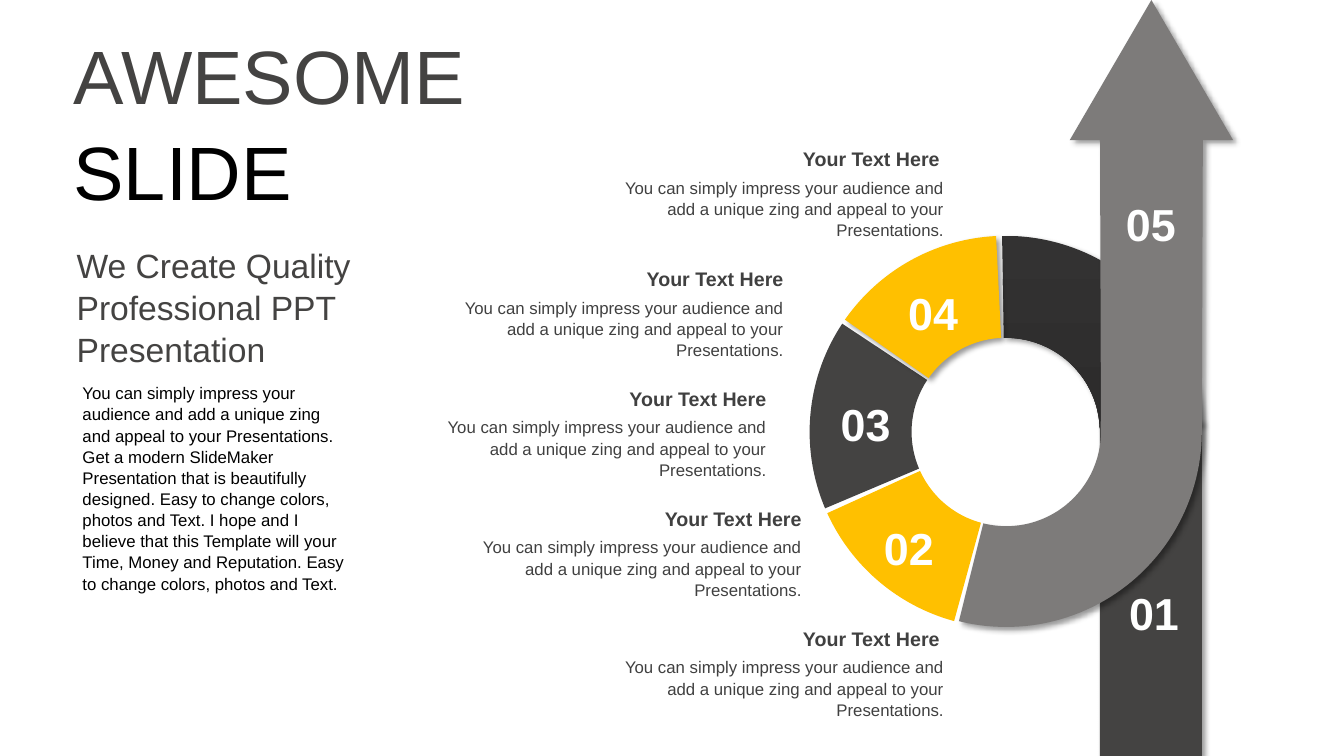
"""Build a slide with a looping arrow that passes through five numbered steps."""
from math import cos, radians, sin

from lxml.etree import SubElement
from pptx import Presentation
from pptx.dml.color import RGBColor
from pptx.enum.shapes import MSO_SHAPE as Shape
from pptx.enum.text import MSO_ANCHOR as Anchor, MSO_AUTO_SIZE as AutoSize, PP_ALIGN as Align
from pptx.oxml.ns import qn
from pptx.util import Inches, Pt

COLORS = {"white": "FFFFFF", "black": "000000", "dark": "444342", "text": "404040",
          "gray": "7D7B7A", "gold": "FFC000", "shade": "333232", "deep": "222221"}
FONT = "Arial"

TITLE = [("AWESOME", "dark"), ("SLIDE", "black")]
SUBTITLE = ["We Create Quality", "Professional PPT Presentation"]
INTRO = ("You can simply impress your audience and add a unique zing and appeal to your "
         "Presentations. Get a modern SlideMaker Presentation that is beautifully designed. "
         "Easy to change colors, photos and Text. I hope and I believe that this Template "
         "will your Time, Money and Reputation. Easy to change colors, photos and Text.")
HEADING = "Your Text Here"
DETAIL = ("You can simply impress your audience and add a unique zing and appeal "
          "to your Presentations.")

STEP_RIGHTS = [(9.42, 9.46), (7.87, 7.87), (7.7, 7.7), (8.05, 8.05), (9.42, 9.46)]
STEP_TOP, STEP_PITCH, DETAIL_DROP = 1.4, 1.19, 0.3
HEADING_WIDTH, DETAIL_WIDTH = 3.45, 3.48

NUMBERS = {"01": (10.89, 5.74), "02": (8.46, 5.09), "03": (8.03, 3.86),
           "04": (8.7, 2.76), "05": (10.86, 1.88)}

RING = (8.03, 2.34, 3.89, 3.89)
TAIL = (10.91, 4.18, 1.01, 3.32)
TOP_ARC = (90, 178.92, 267.9, 0.26, None, True)
STEP_ARCS = [(285, 180.26, 230.52, 0.26, "gold", False),
             (337, 180.07, 236.5, 0.26, "dark", False),
             (36, 178.92, 231.16, 0.26, "gold", True)]

BEND_CENTER, BEND_OUTER, BEND_INNER, BEND_SWEEP = (9.98, 4.28), 1.94, 0.94, 104
ARROW_HEAD = [(10.91, 1.39), (10.61, 1.39), (11.42, 0), (12.23, 1.39), (11.93, 1.39)]


def rgb(color):
    return RGBColor.from_string(COLORS[color])


def finish(shape, color, shadow):
    shape.line.fill.background()
    if color:
        shape.fill.solid()
        shape.fill.fore_color.rgb = rgb(color)
    shape.shadow.inherit = False
    if shadow:
        effects = shape._element.spPr.find(qn("a:effectLst"))
        outer = SubElement(effects, qn("a:outerShdw"), blurRad=str(Pt(4)), dist=str(Pt(3)),
                           dir="2700000", algn="tl", rotWithShape="0")
        tint = SubElement(outer, qn("a:srgbClr"), val=COLORS["black"])
        SubElement(tint, qn("a:alpha"), val="40000")


def add_arc(slide, rotation, start, end, thickness, color, shadow):
    arc = slide.shapes.add_shape(Shape.BLOCK_ARC, *map(Inches, RING))
    arc.rotation = rotation
    for index, value in enumerate((start * 0.6, end * 0.6, thickness)):
        arc.adjustments[index] = value
    finish(arc, color, shadow)
    return arc


def add_arrow(slide):
    def bend(radius, angles):
        return [(BEND_CENTER[0] + radius * cos(radians(angle)),
                 BEND_CENTER[1] + radius * sin(radians(angle))) for angle in angles]

    angles = range(0, BEND_SWEEP + 1, 2)
    outline = ARROW_HEAD + bend(BEND_OUTER, angles) + bend(BEND_INNER, reversed(angles))
    points = [(Inches(x), Inches(y)) for x, y in outline]
    builder = slide.shapes.build_freeform(*points[0])
    builder.add_line_segments(points[1:], close=True)
    finish(builder.convert_to_shape(), "gray", True)


def write(box, lines, size, colors, align=Align.LEFT, bold=False, anchor=Anchor.TOP):
    frame = box.text_frame
    frame.text = "\n".join(lines)
    frame.word_wrap = True
    frame.auto_size = AutoSize.NONE
    frame.vertical_anchor = anchor
    for paragraph, color in zip(frame.paragraphs, colors):
        paragraph.alignment = align
        paragraph.line_spacing = 1.05
        for run in paragraph.runs:
            run.font.name = FONT
            run.font.size = Pt(size)
            run.font.bold = bold
            run.font.color.rgb = rgb(color)


def add_text(slide, place, lines, size, color, **style):
    box = slide.shapes.add_textbox(*map(Inches, place))
    write(box, lines, size, [color] * len(lines), **style)
    return box


def main():
    deck = Presentation()
    deck.slide_width, deck.slide_height = Inches(13.33), Inches(7.5)
    slide = deck.slides.add_slide(deck.slide_layouts[5])

    title = slide.shapes.title
    title.left, title.top, title.width, title.height = map(Inches, (0.63, 0.23, 5.01, 1.92))
    title.fill.solid()
    title.fill.fore_color.rgb = rgb("white")
    lines, colors = zip(*TITLE)
    write(title, lines, 54, colors, anchor=Anchor.MIDDLE)

    top_arc = add_arc(slide, *TOP_ARC)
    top_arc.fill.gradient()
    top_arc.fill.gradient_angle = 0
    for stop, color in zip(top_arc.fill.gradient_stops, ("shade", "deep")):
        stop.color.rgb = rgb(color)
    tail = slide.shapes.add_shape(Shape.RECTANGLE, *map(Inches, TAIL))
    finish(tail, "dark", True)
    add_arrow(slide)
    for arc in STEP_ARCS:
        add_arc(slide, *arc)

    for row, (heading_right, detail_right) in enumerate(STEP_RIGHTS):
        top = STEP_TOP + row * STEP_PITCH
        add_text(slide, (detail_right - DETAIL_WIDTH, top + DETAIL_DROP, DETAIL_WIDTH, 0.71),
                 [DETAIL], 12, "text", align=Align.RIGHT)
        add_text(slide, (heading_right - HEADING_WIDTH, top, HEADING_WIDTH, 0.34),
                 [HEADING], 14, "text", align=Align.RIGHT, bold=True)

    for number, (left, top) in NUMBERS.items():
        add_text(slide, (left, top, 1.11, 0.64), [number], 32, "white",
                 align=Align.CENTER, bold=True)

    add_text(slide, (0.72, 3.74, 2.83, 2.12), [INTRO], 12, "black")
    subtitle = add_text(slide, (0.72, 2.43, 2.8, 1.21), SUBTITLE, 24, "dark",
                        anchor=Anchor.MIDDLE).text_frame
    subtitle.margin_left = subtitle.margin_right = Inches(0.04)
    subtitle.margin_top = subtitle.margin_bottom = 0

    deck.save("out.pptx")


if __name__ == "__main__":
    main()
